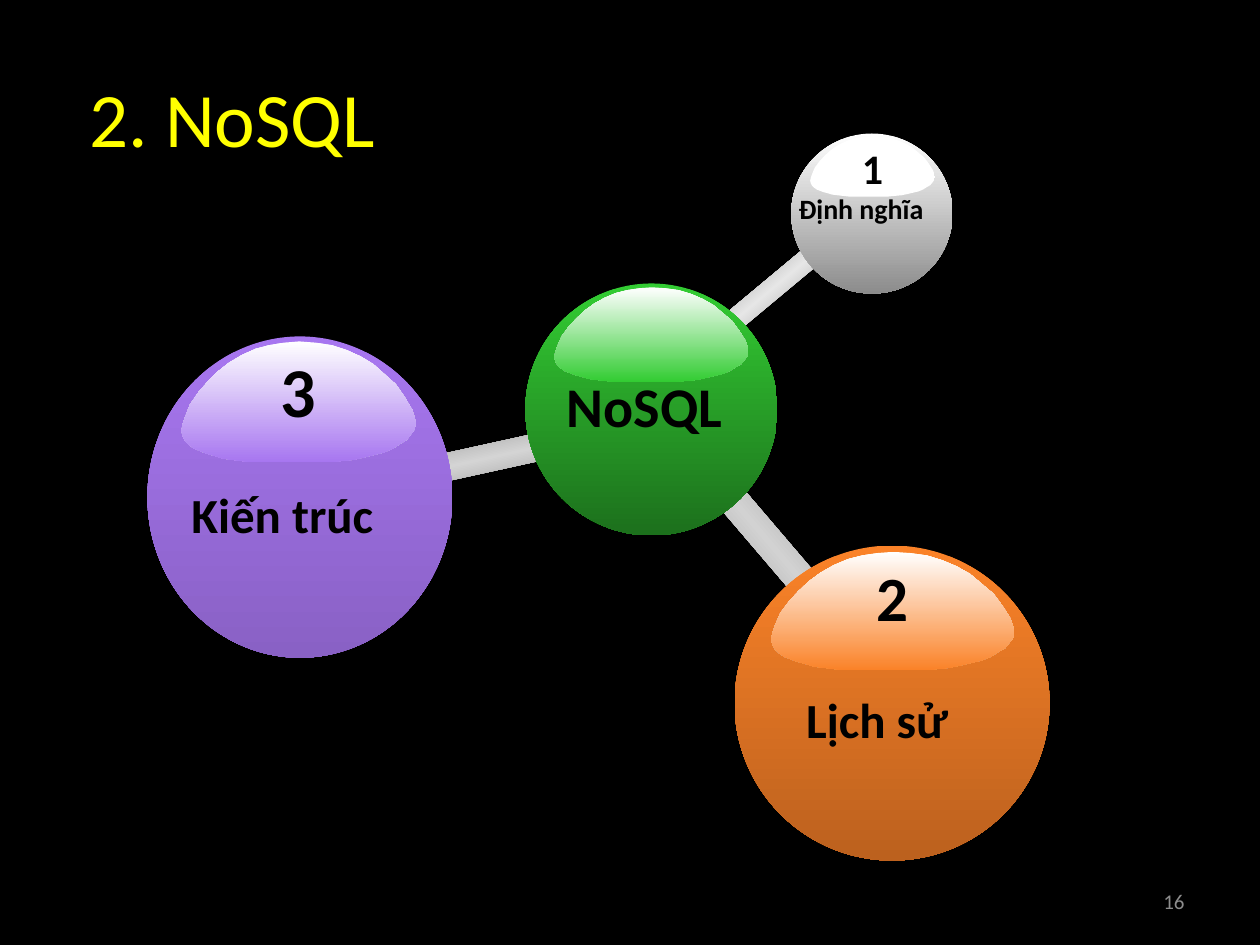
from dataclasses import dataclass

from lxml import etree
from pptx import Presentation
from pptx.dml.color import RGBColor
from pptx.enum.shapes import MSO_SHAPE
from pptx.enum.text import MSO_ANCHOR, MSO_AUTO_SIZE, PP_ALIGN
from pptx.oxml import parse_xml
from pptx.oxml.ns import nsdecls, qn
from pptx.util import Inches, Pt


@dataclass(frozen=True)
class Theme:
    font: str = "Calibri"
    background: str = "000000"
    title: str = "FFFF00"
    text: str = "000000"
    muted: str = "8C8C8C"
    gloss: str = "FFFFFF"
    rod_edge: str = "969696"
    green: str = "33CC33"
    white: str = "FFFFFF"
    purple: str = "A776F0"
    orange: str = "FA8228"
    title_size: int = 44
    number_size: int = 12


# Outline of the glossy cap, in hundredths of an inch
CAP_OUTLINE = [
    (184, 54), (186, 60), (187, 65), (186, 70), (183, 74), (180, 78), (175, 81),
    (169, 85), (162, 88), (154, 90), (146, 92), (137, 94), (127, 95), (117, 96),
    (67, 96), (58, 96), (49, 95), (41, 94), (33, 93), (27, 91), (20, 89),
    (15, 87), (10, 85), (6, 82), (3, 79), (1, 75), (0, 71), (1, 66), (3, 60),
    (7, 50), (14, 40), (21, 32), (29, 24), (38, 17), (48, 11), (59, 6), (70, 3),
    (82, 1), (94, 0), (107, 1), (120, 3), (132, 7), (143, 12), (153, 18),
    (162, 26), (171, 34), (178, 44),
]
CAP_WIDTH = max(x for x, _ in CAP_OUTLINE)
CAP_HEIGHT = max(y for _, y in CAP_OUTLINE)


class SlideBuilder:
    def __init__(self, slide, theme):
        self.slide = slide
        self.theme = theme
        fill = slide.background.fill
        fill.solid()
        fill.fore_color.rgb = RGBColor.from_string(theme.background)

    def finish(self, shape, stops):
        """Fill with a vertical gradient of (position, colour, shade) stops."""
        shape.shadow.inherit = False
        shape.line.fill.background()
        shape.fill.background()
        gradient = parse_xml(
            f'<a:gradFill {nsdecls("a")} rotWithShape="1"><a:gsLst/>'
            '<a:lin ang="5400000" scaled="1"/></a:gradFill>')
        for position, color, shade in stops:
            stop = etree.SubElement(gradient[0], qn("a:gs"), pos=str(position * 1000))
            value = etree.SubElement(stop, qn("a:srgbClr"), val=color)
            if shade < 100:
                etree.SubElement(value, qn("a:shade"), val=str(int(shade * 1000)))
        properties = shape.element.spPr
        properties.replace(properties.find(qn("a:noFill")), gradient)

    def add_text(self, frame, text, size, color, bold=False, align=PP_ALIGN.LEFT):
        paragraph = frame.paragraphs[0]
        paragraph.alignment = align
        run = paragraph.add_run()
        run.text = text
        font = run.font
        font.name = self.theme.font
        font.size = Pt(size)
        font.bold = bold
        font.color.rgb = RGBColor.from_string(color)

    def text_box(self, box, text, size, color, align=PP_ALIGN.LEFT, inset=0.1):
        frame = self.slide.shapes.add_textbox(*map(Inches, box)).text_frame
        frame.word_wrap = True
        frame.vertical_anchor = MSO_ANCHOR.MIDDLE
        frame.margin_left = Inches(inset)
        self.add_text(frame, text, size, color, align=align)

    def rod(self, box, rotation, middle):
        shape = self.slide.shapes.add_shape(MSO_SHAPE.RECTANGLE, *map(Inches, box))
        shape.rotation = rotation
        edge = self.theme.rod_edge
        self.finish(shape, [(0, edge, 100), (50, middle, 100), (100, edge, 100)])

    def cap(self, shapes, box, color, number, size):
        left, top, width, height = map(Inches, box)
        builder = shapes.build_freeform(
            *CAP_OUTLINE[0], scale=(width / CAP_WIDTH, height / CAP_HEIGHT))
        builder.add_line_segments(CAP_OUTLINE[1:], close=True)
        shape = builder.convert_to_shape(left, top)
        self.finish(shape, [(0, self.theme.gloss, 100), (100, color, 100)])
        frame = shape.text_frame
        frame.vertical_anchor = MSO_ANCHOR.TOP
        if number:
            self.add_text(frame, number, size, self.theme.text, True, PP_ALIGN.CENTER)

    def ball(self, box, color, shade, cap_box, label_box, label, label_size,
             number="", number_size=0):
        shapes = self.slide.shapes.add_group_shape().shapes
        sphere = shapes.add_shape(MSO_SHAPE.OVAL, *map(Inches, box))
        self.finish(sphere, [(0, color, 100), (100, color, shade)])
        self.cap(shapes, cap_box, color, number, number_size)
        frame = shapes.add_textbox(*map(Inches, label_box)).text_frame
        frame.word_wrap = False
        frame.auto_size = MSO_AUTO_SIZE.SHAPE_TO_FIT_TEXT
        self.add_text(frame, label, label_size, self.theme.text, True)


def main():
    theme = Theme()
    presentation = Presentation()
    presentation.slide_width, presentation.slide_height = Inches(10), Inches(7.5)
    slide = presentation.slides.add_slide(presentation.slide_layouts[6])
    builder = SlideBuilder(slide, theme)

    builder.text_box((0.5, 0.3, 3.33, 1.25), "2. NoSQL", theme.title_size,
                     theme.title, inset=0.21)
    builder.text_box((7.17, 6.95, 2.33, 0.4), "16", theme.number_size,
                     theme.muted, PP_ALIGN.RIGHT)

    builder.rod((5.47, 4.15, 1.21, 0.24), 229.5, "D2D2D2")
    builder.rod((3, 3.58, 1.25, 0.22), 347.6, "D4D4D4")
    builder.rod((5.75, 2.21, 0.75, 0.17), 140.2, "E6E6E6")

    builder.ball((4.17, 2.25, 2, 2), theme.green, 25.5, (4.4, 2.28, 1.54, 0.75),
                 (4.4, 2.9, 1.45, 0.64), "NoSQL", 32)
    builder.ball((6.28, 1.06, 1.28, 1.27), theme.white, 25.5, (6.43, 1.08, 0.99, 0.48),
                 (6.24, 1.47, 1.43, 0.71), "Định nghĩa", 16, "1", 24)
    builder.ball((1.17, 2.67, 2.42, 2.55), theme.purple, 64, (1.44, 2.71, 1.86, 0.96),
                 (1.42, 3.8, 1.66, 0.57), "Kiến trúc", 28, "3", 40)
    builder.ball((5.83, 4.33, 2.5, 2.5), theme.orange, 52, (6.12, 4.38, 1.93, 0.94),
                 (6.3, 5.42, 1.34, 0.57), "Lịch sử", 28, "2", 36)

    presentation.save("out.pptx")


if __name__ == "__main__":
    main()
